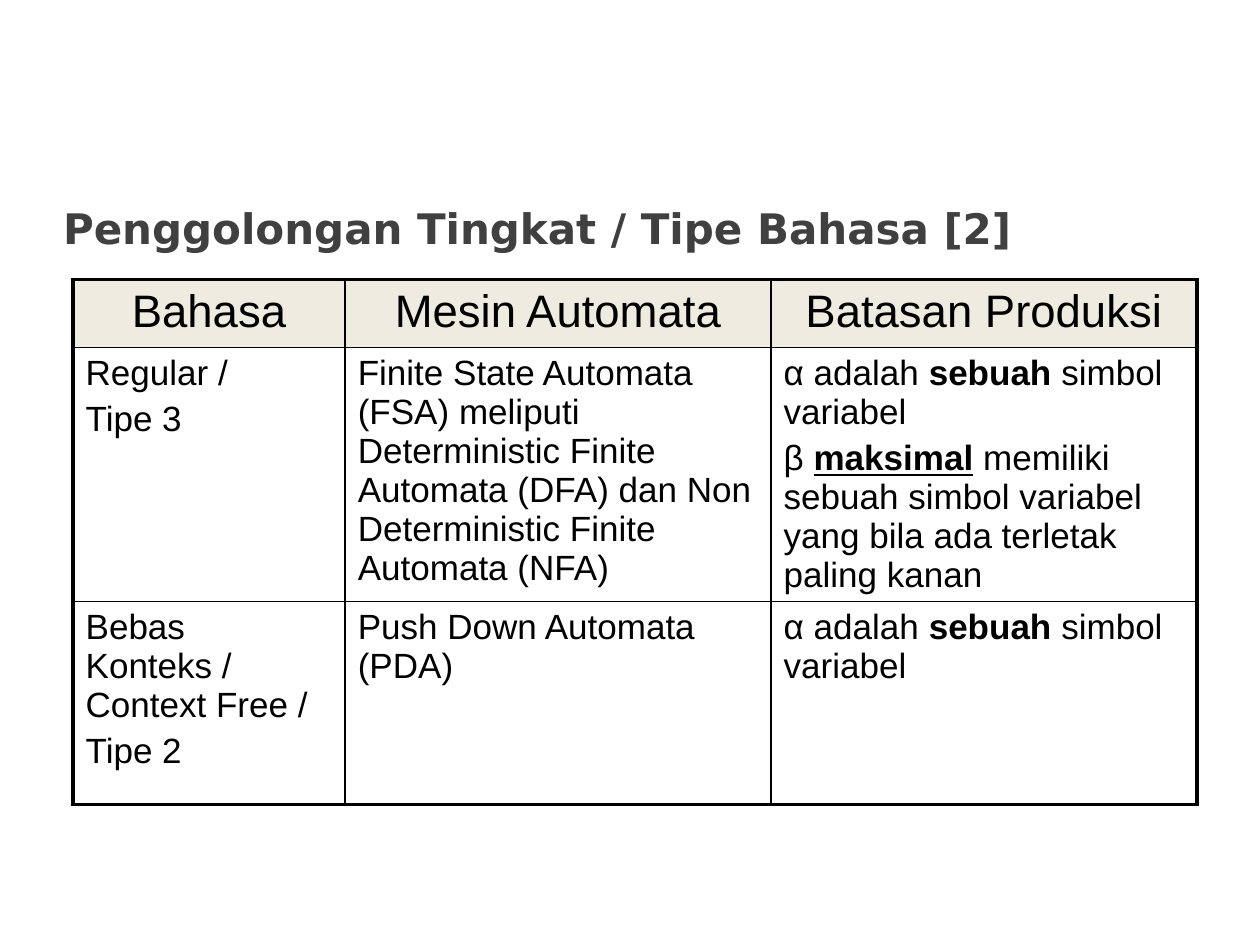
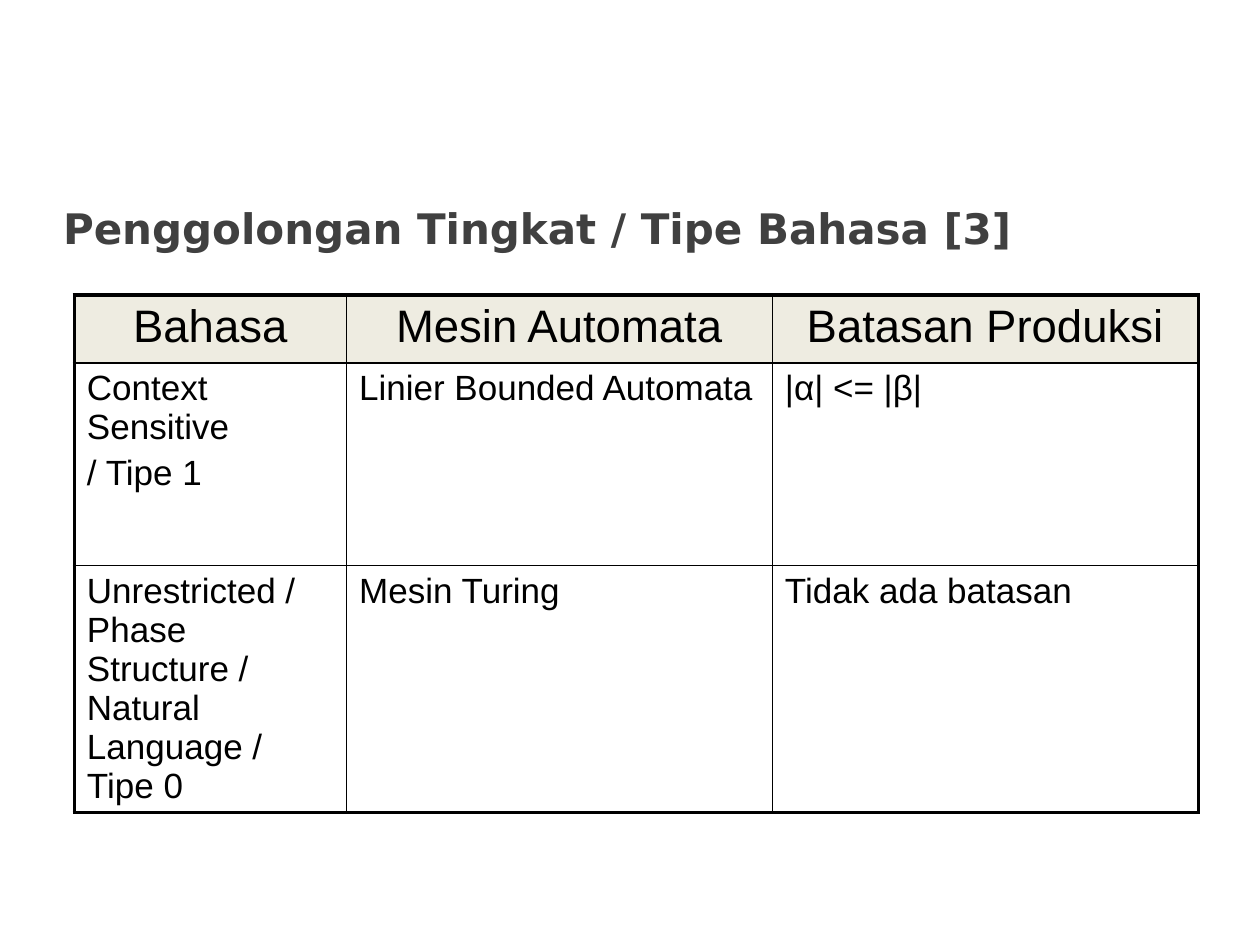
from dataclasses import dataclass
from typing import NamedTuple

from lxml import etree
from pptx import Presentation
from pptx.dml.color import RGBColor
from pptx.enum import text
from pptx.oxml import ns
from pptx.util import Inches, Pt

INK, GREY, SAND = "000000", "404040", "EEECE1"
SANS, HEAD = "Arial", "DejaVu Sans"
WIDTHS = (2.16, 3.38, 3.38)
HEADS = ("Bahasa", "Mesin Automata", "Batasan Produksi")
THICK, THIN = 2.25, 1


class Run(NamedTuple):
    words: str
    bold: bool = False
    line: bool = False


Para = tuple[Run, ...]
Cell = tuple[Para, ...]


@dataclass
class Page:
    number: int
    left: float
    top: float
    heights: tuple[float, ...]
    rows: tuple[tuple[Cell, ...], ...]


def plain(*lines: str) -> Cell:
    return tuple((Run(line),) for line in lines)


ALPHA: Para = (Run("α adalah "), Run("sebuah", True), Run(" simbol variabel"))
BETA: Para = (
    Run("β "),
    Run("maksimal", True, True),
    Run(" memiliki sebuah simbol variabel yang bila ada terletak paling kanan"),
)

PAGES = (
    Page(2, 0.58, 2.22, (0.54, 2.01, 1.61), (
        (
            plain("Regular /", "Tipe 3"),
            plain("Finite State Automata (FSA) meliputi Deterministic Finite "
                  "Automata (DFA) dan Non Deterministic Finite Automata (NFA)"),
            (ALPHA, BETA),
        ),
        (
            plain("Bebas Konteks / Context Free /", "Tipe 2"),
            plain("Push Down Automata (PDA)"),
            (ALPHA,),
        ),
    )),
    Page(3, 0.59, 2.34, (0.54, 1.61, 1.95), (
        (
            plain("Context Sensitive", "/ Tipe 1"),
            plain("Linier Bounded Automata"),
            plain("|α| <= |β|"),
        ),
        (
            plain("Unrestricted / Phase Structure / Natural Language / Tipe 0"),
            plain("Mesin Turing"),
            plain("Tidak ada batasan"),
        ),
    )),
)


def color(code: str) -> RGBColor:
    return RGBColor.from_string(code)


def add_run(para, run: Run, size: float, face: str, ink: str) -> None:
    item = para.add_run()
    item.text = run.words
    font = item.font
    font.size, font.name = Pt(size), face
    font.bold, font.underline = run.bold, run.line
    font.color.rgb = color(ink)


def add_edge(cell, side: str, width: float) -> None:
    props = cell._tc.get_or_add_tcPr()
    edge = etree.SubElement(props, ns.qn(f"a:ln{side}"), w=str(Pt(width)))
    fill = etree.SubElement(edge, ns.qn("a:solidFill"))
    etree.SubElement(fill, ns.qn("a:srgbClr"), val=INK)


def fill_cell(cell, paras: Cell, head: bool) -> None:
    frame = cell.text_frame
    for i, runs in enumerate(paras):
        para = frame.add_paragraph() if i else frame.paragraphs[0]
        para.alignment = text.PP_ALIGN.CENTER if head else text.PP_ALIGN.LEFT
        if i:
            para.space_before = Pt(4)
        for run in runs:
            add_run(para, run, 26 if head else 20, SANS, INK)
    if head:
        cell.fill.solid()
        cell.fill.fore_color.rgb = color(SAND)
    else:
        cell.fill.background()


def add_title(slide, number: int) -> None:
    title = slide.shapes.title
    title.left, title.top = Inches(0.4), Inches(1.46)
    title.width, title.height = Inches(9.11), Inches(0.7)
    frame = title.text_frame
    frame.word_wrap = True
    frame.vertical_anchor = text.MSO_ANCHOR.MIDDLE
    para = frame.paragraphs[0]
    para.alignment = text.PP_ALIGN.LEFT
    words = f"Penggolongan Tingkat / Tipe Bahasa [{number}]"
    add_run(para, Run(words, True), 24, HEAD, GREY)


def add_grid(slide, page: Page) -> None:
    rows = (tuple(plain(head) for head in HEADS), *page.rows)
    grid = slide.shapes.add_table(
        len(rows), len(WIDTHS), Inches(page.left), Inches(page.top),
        Inches(sum(WIDTHS)), Inches(sum(page.heights)),
    ).table
    for col, width in zip(grid.columns, WIDTHS):
        col.width = Inches(width)
    for row, height in zip(grid.rows, page.heights):
        row.height = Inches(height)
    for r, row in enumerate(rows):
        for c, paras in enumerate(row):
            cell = grid.cell(r, c)
            outer = {
                "L": c == 0,
                "R": c == len(WIDTHS) - 1,
                "T": r == 0,
                "B": r == len(rows) - 1,
            }
            for side, rim in outer.items():
                add_edge(cell, side, THICK if rim else THIN)
            fill_cell(cell, paras, r == 0)


def main() -> None:
    deck = Presentation()
    deck.slide_width, deck.slide_height = Inches(10), Inches(7.5)
    for page in PAGES:
        slide = deck.slides.add_slide(deck.slide_layouts[5])
        add_title(slide, page.number)
        add_grid(slide, page)
    deck.save("out.pptx")


if __name__ == "__main__":
    main()
